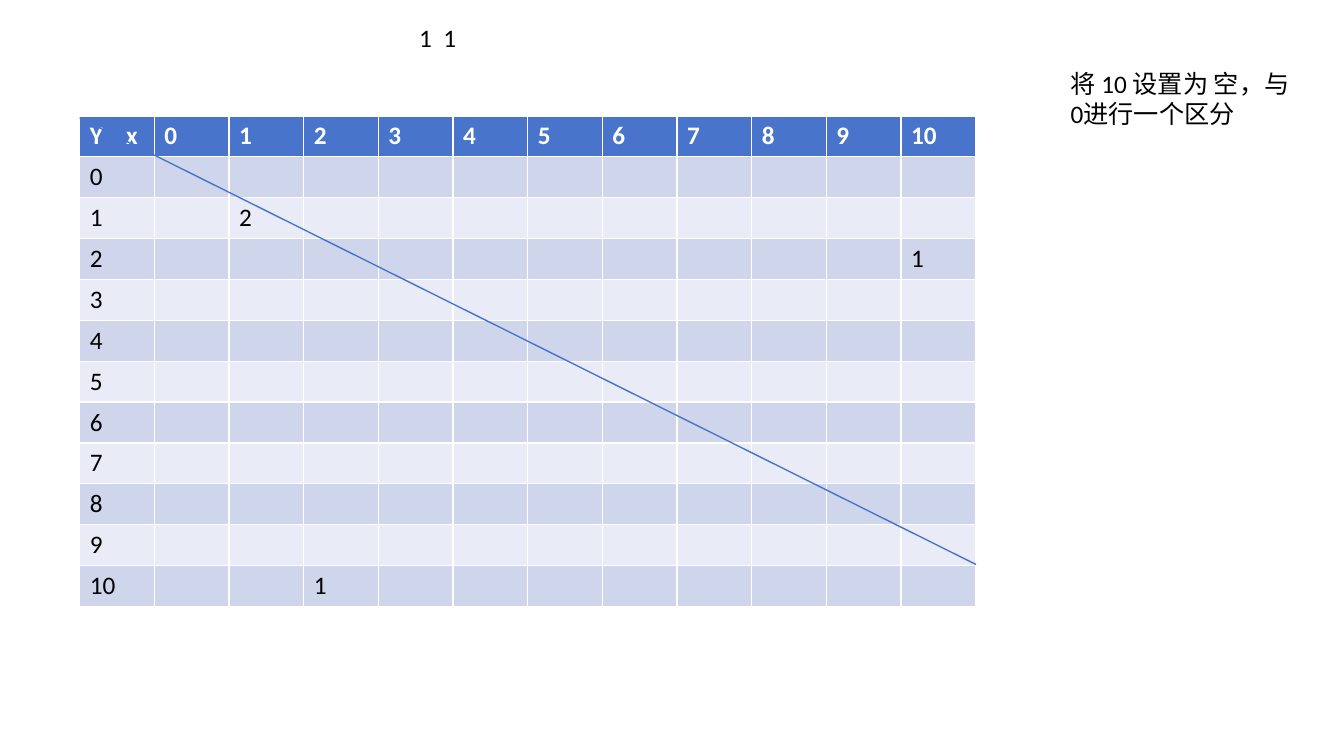
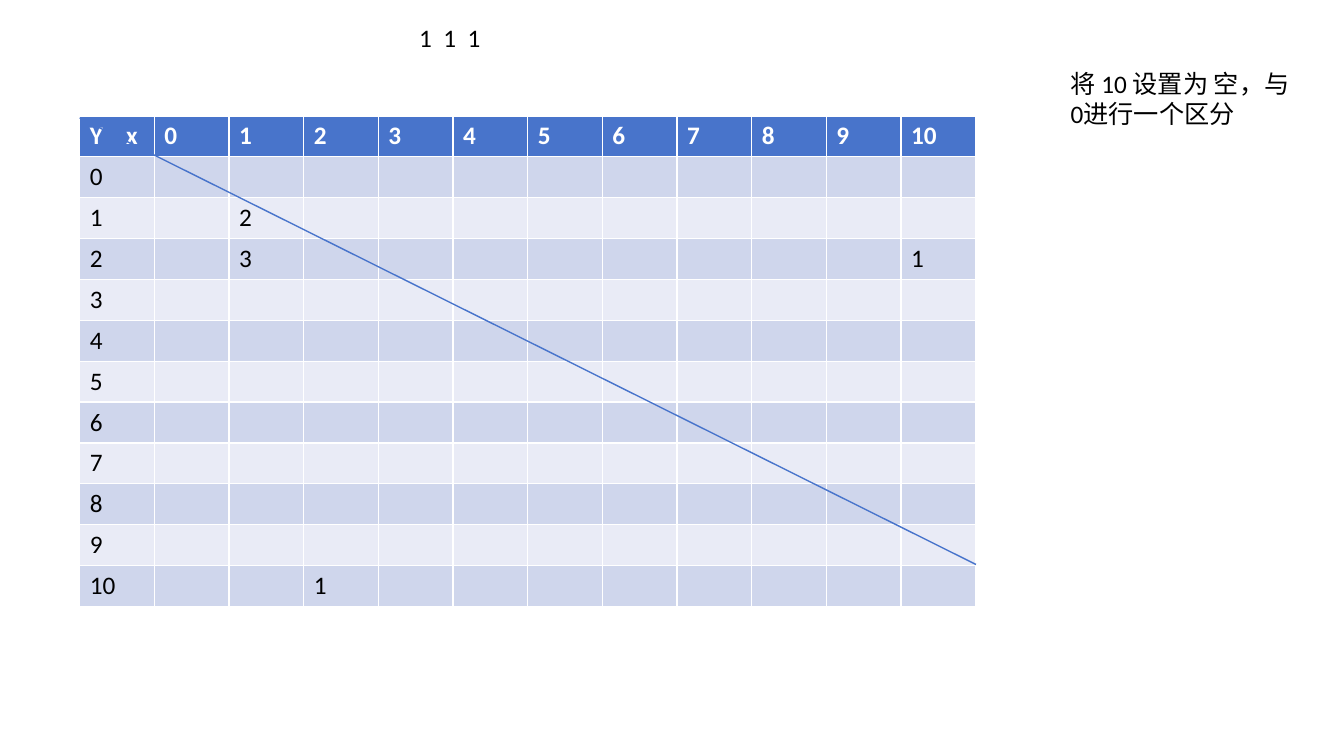
from dataclasses import dataclass

from lxml.etree import SubElement
from pptx import Presentation
from pptx.dml.color import RGBColor
from pptx.enum.shapes import MSO_CONNECTOR
from pptx.enum.text import MSO_AUTO_SIZE
from pptx.oxml.ns import qn
from pptx.util import Inches, Pt


@dataclass(frozen=True)
class Theme:
    accent: RGBColor = RGBColor.from_string("4874CB")
    band_dark: RGBColor = RGBColor.from_string("CFD6EC")
    band_light: RGBColor = RGBColor.from_string("E9EBF6")
    header_text: RGBColor = RGBColor.from_string("FFFFFF")
    body_text: RGBColor = RGBColor.from_string("000000")
    font: str = "Calibri"
    text_size: Pt = Pt(18)
    line_width: Pt = Pt(1)


THEME = Theme()
NUMBERS = range(11)
GRID_SIZE = len(NUMBERS) + 1
NOTE = "将 10 设置为 空，与0进行一个区分"

# Each slide: the sequence on top, and the table values keyed by (y, x).
FIRST_VALUES = {(1, 1): 2, (2, 10): 1, (10, 2): 1}
STEPS = [
    ("1\t1", FIRST_VALUES),
    ("1\t1\t1", {**FIRST_VALUES, (2, 1): 3}),
]


def add_text(text_frame, text, color=THEME.body_text, bold=False, tab_step=None):
    """Add one run; tab_step spaces the parts between tabs evenly."""
    paragraph = text_frame.paragraphs[0]
    if tab_step:
        tab_list = SubElement(paragraph._p.get_or_add_pPr(), qn("a:tabLst"))
        for index in range(1, text.count("\t") + 1):
            SubElement(tab_list, qn("a:tab"), pos=str(tab_step * index), algn="l")
    run = paragraph.add_run()
    run.text = text
    run.font.name = THEME.font
    run.font.size = THEME.text_size
    run.font.bold = bold
    run.font.color.rgb = color


def add_text_box(slide, left, top, width, height, text, tab_step=None):
    text_box = slide.shapes.add_textbox(
        Inches(left), Inches(top), Inches(width), Inches(height)
    )
    text_box.text_frame.word_wrap = True
    text_box.text_frame.auto_size = MSO_AUTO_SIZE.SHAPE_TO_FIT_TEXT
    add_text(text_box.text_frame, text, tab_step=tab_step)


presentation = Presentation()
presentation.slide_width = Inches(13.33)
presentation.slide_height = Inches(7.5)
blank_layout = presentation.slide_layouts[6]

for sequence, values in STEPS:
    slide = presentation.slides.add_slide(blank_layout)

    table = slide.shapes.add_table(
        GRID_SIZE, GRID_SIZE, Inches(0.79), Inches(1.15), Inches(8.89), Inches(4.87)
    ).table
    for row_index, row in enumerate(table.rows):
        is_header = row_index == 0
        if is_header:
            fill_color = THEME.accent
        else:
            fill_color = THEME.band_dark if row_index % 2 else THEME.band_light
        for cell in row.cells:
            cell.fill.solid()
            cell.fill.fore_color.rgb = fill_color

    header_style = {"color": THEME.header_text, "bold": True}
    add_text(table.cell(0, 0).text_frame, "Y\tx", tab_step=Inches(0.36), **header_style)
    for number in NUMBERS:
        add_text(table.cell(0, number + 1).text_frame, str(number), **header_style)
        add_text(table.cell(number + 1, 0).text_frame, str(number))
    for (y, x), value in values.items():
        add_text(table.cell(y + 1, x + 1).text_frame, str(value))

    diagonal = slide.shapes.add_connector(
        MSO_CONNECTOR.STRAIGHT, Inches(0.79), Inches(1.17), Inches(9.68), Inches(5.6)
    )
    diagonal.line.color.rgb = THEME.accent
    diagonal.line.width = THEME.line_width
    SubElement(diagonal._element.spPr, qn("a:effectLst"))

    add_text_box(slide, 4.06, 0.17, 4.03, 0.4, sequence, tab_step=Inches(0.24))
    add_text_box(slide, 10.52, 0.63, 2.49, 0.71, NOTE)

presentation.save("out.pptx")
